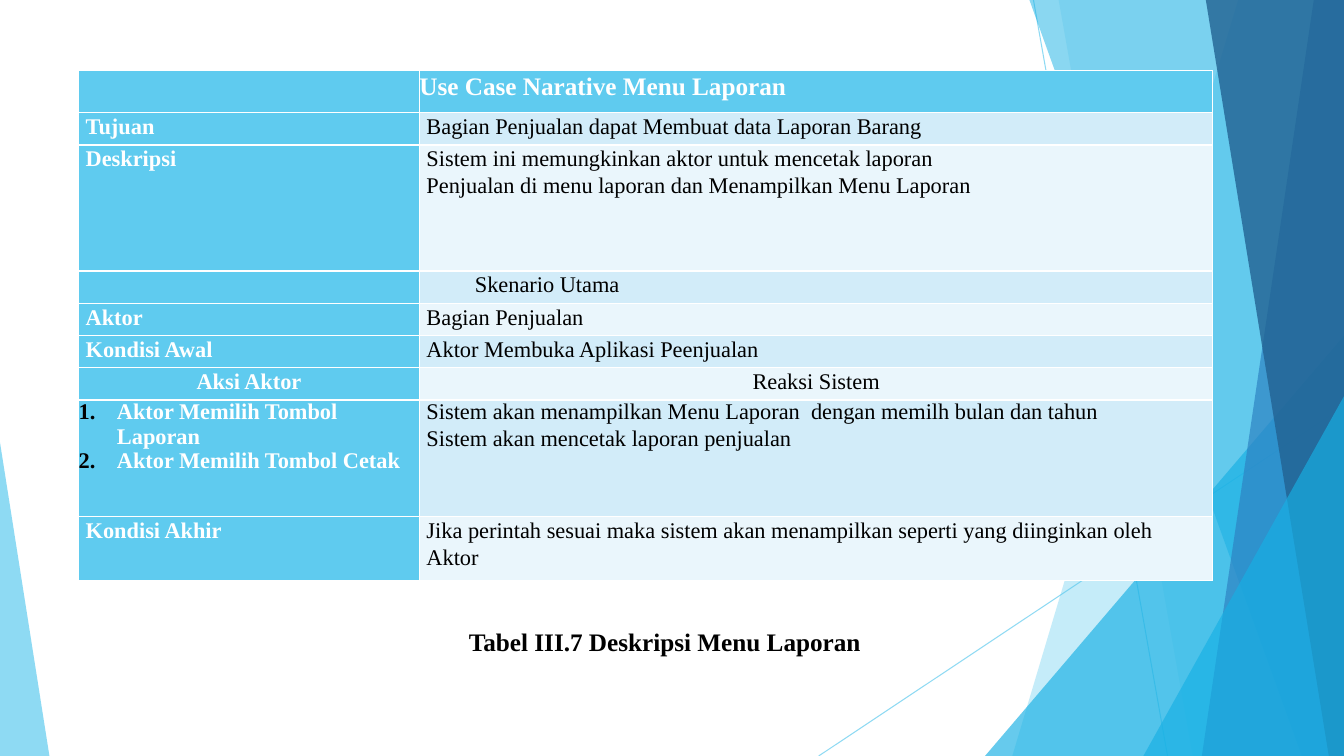
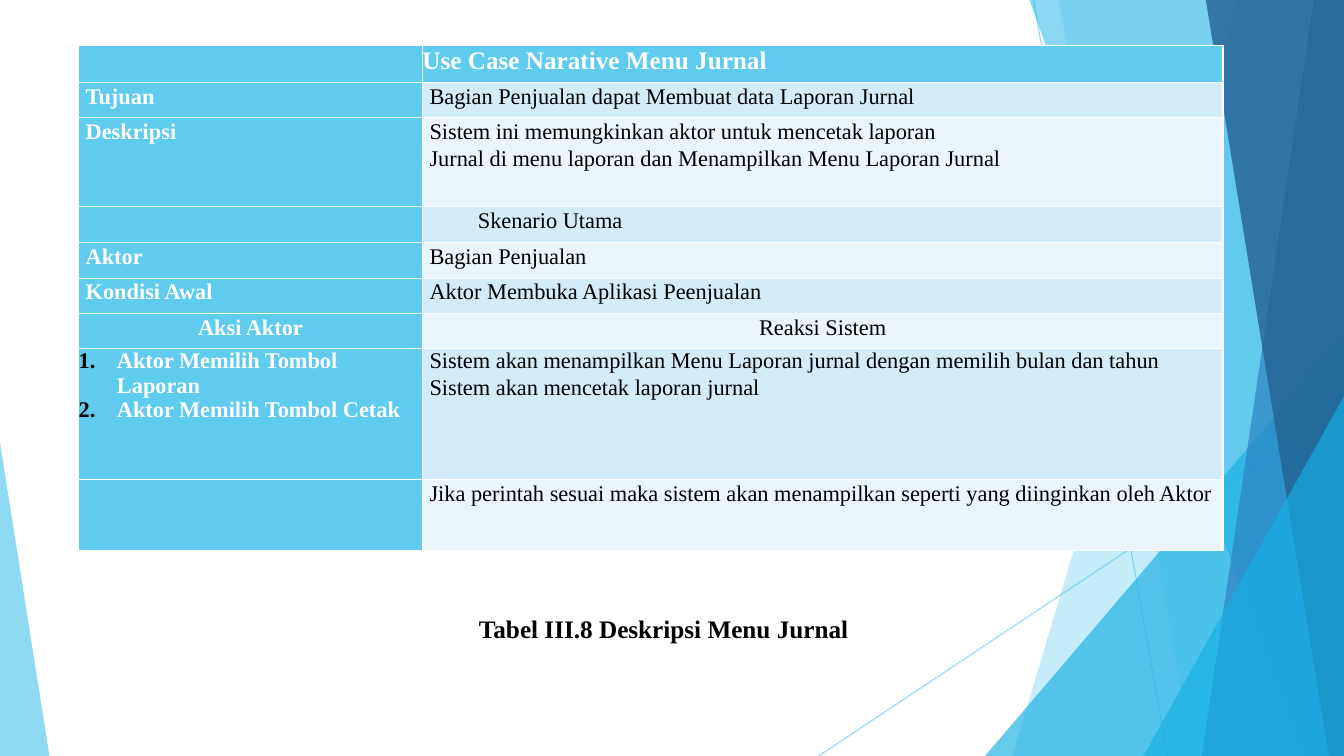
from lxml import etree
from pptx import Presentation
from pptx import util as u
from pptx.dml.color import RGBColor
from pptx.enum import shapes, text
from pptx.oxml.ns import qn

FONT = "Times New Roman"
SKY, CYAN, BLUE, NAVY = "5FCBEF", "17B0E4", "2E83C3", "226292"
WHITE, BLACK = "FFFFFF", "000000"
BANDS = ["EAF6FC", "D2ECF9"]
WIDTH, HEIGHT = 13.33, 7.5
HEADER_ROW, SCENARIO_ROW, ACTION_ROW, STEPS_ROW = 0, 3, 6, 7


def paint(fill, color):
    fill.solid()
    fill.fore_color.rgb = RGBColor.from_string(color)


def write(para, words, size, color, bold):
    span = para.add_run()
    span.text = words
    formats = {"name": FONT, "size": u.Pt(size), "bold": bold}
    for key, value in formats.items():
        setattr(span.font, key, value)
    paint(span.font.fill, color)


deck = Presentation()
deck.slide_width, deck.slide_height = u.Inches(WIDTH), u.Inches(HEIGHT)
layout = deck.slide_layouts.get_by_name("Title Only")
pages = [deck.slides.add_slide(layout) for number in range(2)]

rays = [(10.25, 0, 11.58, HEIGHT), (WIDTH, 4.03, 8.12, HEIGHT)]
facets = [
    (SKY, 36, (12.28, 10.04)),
    (SKY, 20, (10.5, 11.83)),
    (CYAN, 66, (9.77, 3.33, 3.56, 4.17, 1)),
    (CYAN, 50, (10.21, 12.91)),
    (BLUE, 70, (13.03, 11.92)),
    (NAVY, 80, (11.96, 13.18)),
    (CYAN, 66, (11.34, 3.93, 1.99, 3.57, 1)),
    (SKY, 70, (0, 4.39, 0.49, 3.11, 0)),
]
canvas = pages[0].shapes
decor = []
for ray in rays:
    line = canvas.add_connector(shapes.MSO_CONNECTOR.STRAIGHT, *map(u.Inches, ray))
    line.line.width = u.Pt(0.75)
    paint(line.line.fill, SKY)
    etree.SubElement(line.element.spPr, qn("a:effectLst"))
    decor.append((line, 70))
for color, opacity, geometry in facets:
    if len(geometry) == 2:
        top_left, bottom_left = geometry
        builder = canvas.build_freeform(u.Inches(top_left), 0)
        corners = [(WIDTH, 0), (WIDTH, HEIGHT), (bottom_left, HEIGHT)]
        builder.add_line_segments([(u.Inches(x), u.Inches(y)) for x, y in corners])
        facet = builder.convert_to_shape()
    else:
        *frame, apex = geometry
        facet = canvas.add_shape(shapes.MSO_SHAPE.ISOSCELES_TRIANGLE, *map(u.Inches, frame))
        facet.adjustments[0] = apex
    paint(facet.fill, color)
    facet.line.fill.background()
    facet.shadow.inherit = False
    decor.append((facet, opacity))
for shape, opacity in decor:
    for tint in shape.element.xpath(".//a:srgbClr"):
        etree.SubElement(tint, qn("a:alpha"), val=str(opacity * 1000))
    layout.shapes.element.append(shape.element)

contents = [
    {
        "menu": "Laporan",
        "goal": "Barang",
        "detail": "Penjualan di menu laporan dan Menampilkan Menu Laporan",
        "steps": ["Sistem akan menampilkan Menu Laporan  dengan memilh bulan dan tahun",
                  "Sistem akan mencetak laporan penjualan"],
        "ending": "Kondisi Akhir",
        "top": 0.7,
        "columns": [3.38, 7.87],
        "rows": [0.42, 0.32, 1.25, 0.32, 0.32, 0.32, 0.32, 1.16, 0.63],
        "caption": "Tabel III.7 Deskripsi Menu Laporan",
        "caption_frame": (4.55, 6.16, 4.23, 0.4),
    },
    {
        "menu": "Jurnal",
        "goal": "Jurnal",
        "detail": "Jurnal di menu laporan dan Menampilkan Menu Laporan Jurnal",
        "steps": ["Sistem akan menampilkan Menu Laporan jurnal dengan memilih bulan dan tahun",
                  "Sistem akan mencetak laporan jurnal"],
        "ending": "",
        "top": 0.45,
        "columns": [3.41, 7.94],
        "rows": [0.37, 0.35, 0.88, 0.36, 0.35, 0.35, 0.35, 1.3, 0.7],
        "caption": "Tabel III.8 Deskripsi Menu Jurnal",
        "caption_frame": (4.65, 6.03, 4.03, 0.4),
    },
]

for page, content in zip(pages, contents):
    rows = [
        ([], [f"Use Case Narative Menu {content['menu']}"]),
        (["Tujuan"], [f"Bagian Penjualan dapat Membuat data Laporan {content['goal']}"]),
        (["Deskripsi"], ["Sistem ini memungkinkan aktor untuk mencetak laporan", content["detail"]]),
        ([], ["Skenario Utama"]),
        (["Aktor"], ["Bagian Penjualan"]),
        (["Kondisi Awal"], ["Aktor Membuka Aplikasi Peenjualan"]),
        (["Aksi Aktor"], ["Reaksi Sistem"]),
        (["Aktor Memilih Tombol Laporan", "Aktor Memilih Tombol Cetak"], content["steps"]),
        ([content["ending"]] if content["ending"] else [],
         ["Jika perintah sesuai maka sistem akan menampilkan seperti yang diinginkan oleh Aktor"]),
    ]
    frame = (0.78, content["top"], sum(content["columns"]), sum(content["rows"]))
    table = page.shapes.add_table(len(rows), 2, *map(u.Inches, frame)).table
    for column, width in zip(table.columns, content["columns"]):
        column.width = u.Inches(width)
    for row, height in zip(table.rows, content["rows"]):
        row.height = u.Inches(height)

    for r, row in enumerate(rows):
        for c, lines in enumerate(row):
            cell = table.cell(r, c)
            strong = c == 0 or r == HEADER_ROW
            margins = {"margin_left": 0, "margin_top": 0, "margin_bottom": 0,
                       "margin_right": u.Inches(0.07)}
            for key, value in margins.items():
                setattr(cell, key, value)
            paint(cell.fill, SKY if strong else BANDS[r % 2])
            numbered = r == STEPS_ROW and c == 0
            indent = {HEADER_ROW: 0, SCENARIO_ROW: 0.55}.get(r, 0.38 if numbered else 0.07)
            for i, words in enumerate(lines):
                box = cell.text_frame
                para = box.add_paragraph() if i else box.paragraphs[0]
                tight = numbered or (r == STEPS_ROW and i == 0)
                para.line_spacing = 0.99 if tight else 1.07
                if r == ACTION_ROW:
                    para.alignment = text.PP_ALIGN.CENTER
                write(para, words, 18 if r == HEADER_ROW else 16, WHITE if strong else BLACK, strong)
                properties = para._p.get_or_add_pPr()
                properties.set("marL", str(u.Inches(indent)))
                if numbered:
                    properties.set("indent", str(-u.Inches(indent)))
                    tint = etree.SubElement(properties, qn("a:buClr"))
                    etree.SubElement(tint, qn("a:srgbClr"), val=BLACK)
                    etree.SubElement(properties, qn("a:buFont"), typeface=FONT)
                    etree.SubElement(properties, qn("a:buAutoNum"), type="arabicPeriod")

    caption = page.shapes.title
    for key, value in zip(("left", "top", "width", "height"), content["caption_frame"]):
        setattr(caption, key, u.Inches(value))
    box = caption.text_frame
    formats = {"word_wrap": False, "auto_size": text.MSO_AUTO_SIZE.NONE,
               "vertical_anchor": text.MSO_ANCHOR.TOP}
    for key, value in formats.items():
        setattr(box, key, value)
    box.paragraphs[0].alignment = text.PP_ALIGN.LEFT
    write(box.paragraphs[0], content["caption"], 18, BLACK, True)

deck.save("out.pptx")
